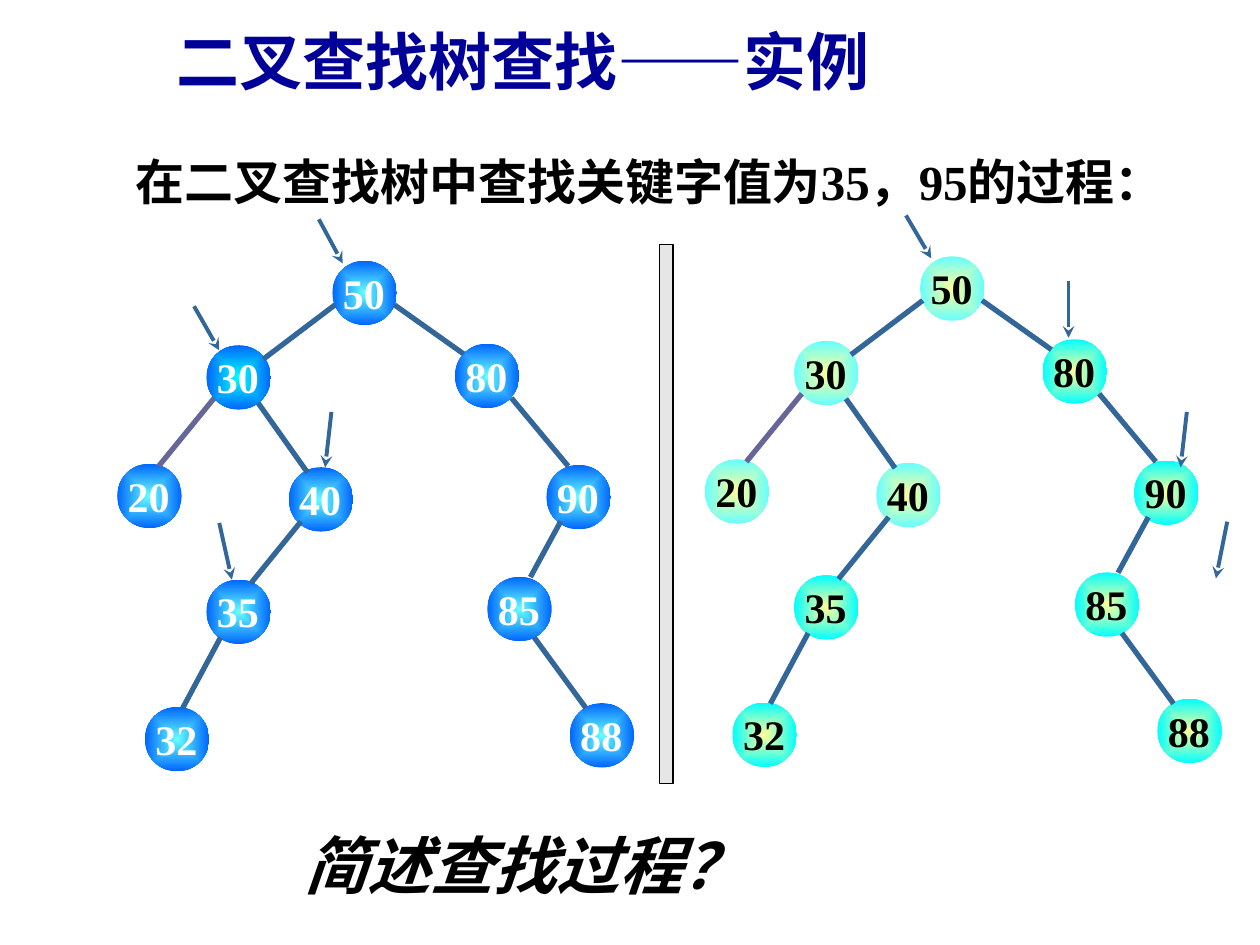
from lxml.etree import SubElement
from pptx import Presentation
from pptx.dml.color import RGBColor
from pptx.enum.shapes import MSO_CONNECTOR, MSO_SHAPE
from pptx.enum.text import PP_ALIGN
from pptx.oxml.ns import qn
from pptx.util import Pt

# Content: left, top, width, height, then the text and its style
TEXTS = [
    ((70.6, 82.8, 623.5, 41), "在二叉查找树中查找关键字值为35，95的过程：", "body"),
    ((93.6, 9.4, 607, 50.4), "二叉查找树查找——实例", "title"),
    ((167, 468.7, 329, 50.4), "简述查找过程？", "question"),
]

# Left and top of each node in the left-hand tree
NODES = {
    50: (190, 149), 30: (118, 197.3), 20: (67, 265), 80: (260, 196.4),
    90: (312.3, 265.7), 85: (278.5, 329.6), 88: (325.6, 401.8),
    40: (165, 267), 35: (118, 331.2), 32: (82.8, 404),
}

# Branches of the left-hand tree: start and end points
BRANCHES = [
    (191.5, 174.2, 150.5, 205.2), (122.4, 227.5, 90.7, 266.4),
    (225.4, 174.2, 265, 202.3), (147.6, 230.4, 175.7, 270),
    (172, 298, 143.3, 333.4), (292.3, 227.5, 324.7, 266.4),
    (320.4, 298, 303.1, 329.8), (305.3, 364.3, 334.8, 404.6),
    (126, 364.3, 104.4, 404.6),
]
GREY_BRANCH = 1

# Each search: tree offset, style, recoloured nodes, pointer arrows
SEARCHES = [
    {"offset": (0, 0), "style": "blue", "marked": [30],
     "arrows": [(182.2, 125.3, 195.8, 150.5), (110.9, 175, 125.3, 200.2),
                (189.4, 235.4, 185.8, 267.1), (125.3, 298.8, 132.5, 331.2)]},
    {"offset": (335.8, -2.5), "style": "cyan", "marked": [80, 90, 85, 88, 35, 32],
     "arrows": [(517.7, 123.1, 532.1, 147.6), (610.6, 160.6, 610.6, 193),
                (678.2, 235.4, 674.6, 267.1), (701.3, 298.1, 694.8, 330.5)]},
]

THEME = {
    "latin": "Times New Roman", "cjk": "Noto Sans CJK SC",
    "branch": "336699", "grey_branch": "666699",
    "bar": "E7E6E6", "bar_line": "000000",
    "blue": {"plain": ("66FFFF", "0066FF"), "marked": ("00FFFF", "0066FF")},
    "cyan": {"plain": ("FFFF99", "66FFFF"), "marked": ("FFFF99", "00FFFF")},
    "branch_width": 3, "arrow_width": 2.25, "bar_width": 0.75,
}
STYLES = {
    "body": {"name": THEME["latin"], "size": Pt(28), "bold": True, "color": "000000"},
    "title": {"name": THEME["cjk"], "size": Pt(36), "bold": True, "color": "000099"},
    "question": {"name": THEME["cjk"], "size": Pt(36), "bold": True, "italic": True,
                 "color": "000000"},
    "blue": {"name": THEME["latin"], "size": Pt(24), "bold": True, "color": "FFFFFF"},
    "cyan": {"name": THEME["latin"], "size": Pt(24), "bold": True, "color": "000000"},
}
NODE_SIZE = 36.8
LABEL_INSET, LABEL_WIDTH, LABEL_HEIGHT = 3.6, 28.8, 37.4
LABEL_FRAME = {"margin_left": 0, "margin_right": 0, "margin_top": 0,
               "margin_bottom": Pt(2.9)}


def color(value):
    return RGBColor.from_string(value)


def add_text(s, box, text, style, frame=None, align=None):
    tf = s.shapes.add_textbox(*map(Pt, box)).text_frame
    tf.word_wrap = True
    for key, value in (frame or {}).items():
        setattr(tf, key, value)
    p = tf.paragraphs[0]
    p.alignment = align
    r = p.add_run()
    r.text = text
    for key, value in STYLES[style].items():
        if key == "color":
            r.font.color.rgb = color(value)
        else:
            setattr(r.font, key, value)
    SubElement(r.font._element, qn("a:ea"), typeface=THEME["cjk"])


def add_line(s, points, line_color, width, arrow=False):
    line = s.shapes.add_connector(MSO_CONNECTOR.STRAIGHT, *map(Pt, points))
    line.line.color.rgb = color(line_color)
    line.line.width = Pt(width)
    if arrow:
        SubElement(line.line._get_or_add_ln(), qn("a:tailEnd"), type="stealth")
    SubElement(line._element.spPr, qn("a:effectLst"))


def fill_radial(sp, colors):
    sp.fill.gradient()
    for stop, value in zip(sp.fill.gradient_stops, colors):
        stop.color.rgb = color(value)
    grad = sp._element.spPr.find(qn("a:gradFill"))
    grad.remove(grad.find(qn("a:lin")))
    radial = SubElement(grad, qn("a:path"), {"path": "shape"})
    SubElement(radial, qn("a:fillToRect"), {side: "50000" for side in "ltrb"})


def add_node(s, x, y, key, style, colors):
    sp = s.shapes.add_shape(MSO_SHAPE.OVAL, *map(Pt, (x, y, NODE_SIZE, NODE_SIZE)))
    sp.shadow.inherit = False
    fill_radial(sp, colors)
    sp.line.fill.background()
    box = (x + LABEL_INSET, y + LABEL_INSET, LABEL_WIDTH, LABEL_HEIGHT)
    add_text(s, box, str(key), style, LABEL_FRAME, PP_ALIGN.CENTER)


def add_search(s, search):
    dx, dy = search["offset"]
    style = search["style"]
    for key, (x, y) in NODES.items():
        state = "marked" if key in search["marked"] else "plain"
        add_node(s, x + dx, y + dy, key, style, THEME[style][state])
    for i, (x1, y1, x2, y2) in enumerate(BRANCHES):
        line_color = THEME["grey_branch" if i == GREY_BRANCH else "branch"]
        add_line(s, (x1 + dx, y1 + dy, x2 + dx, y2 + dy), line_color,
                 THEME["branch_width"])
    for points in search["arrows"]:
        add_line(s, points, THEME["branch"], THEME["arrow_width"], arrow=True)


def main():
    prs = Presentation()
    prs.slide_width, prs.slide_height = Pt(720), Pt(540)
    s = prs.slides.add_slide(prs.slide_layouts[6])

    # Two trees with their search steps
    for search in SEARCHES:
        add_search(s, search)

    # Divider bar
    bar = s.shapes.add_shape(MSO_SHAPE.RECTANGLE, *map(Pt, (377, 139.7, 7.5, 308)))
    bar.shadow.inherit = False
    bar.fill.solid()
    bar.fill.fore_color.rgb = color(THEME["bar"])
    bar.line.color.rgb = color(THEME["bar_line"])
    bar.line.width = Pt(THEME["bar_width"])

    # Title, task and question
    for box, text, style in TEXTS:
        add_text(s, box, text, style)

    prs.save("out.pptx")


if __name__ == "__main__":
    main()
